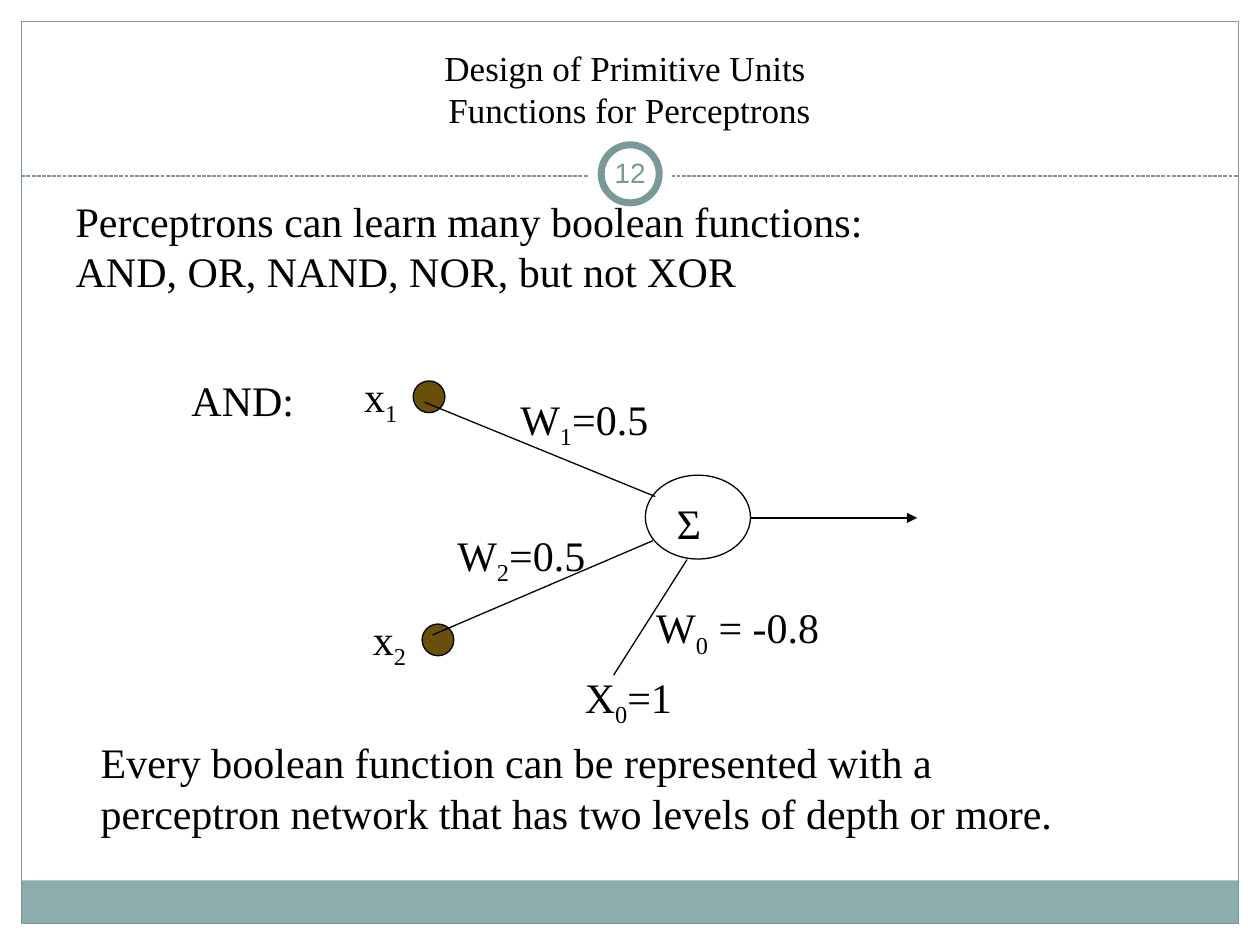
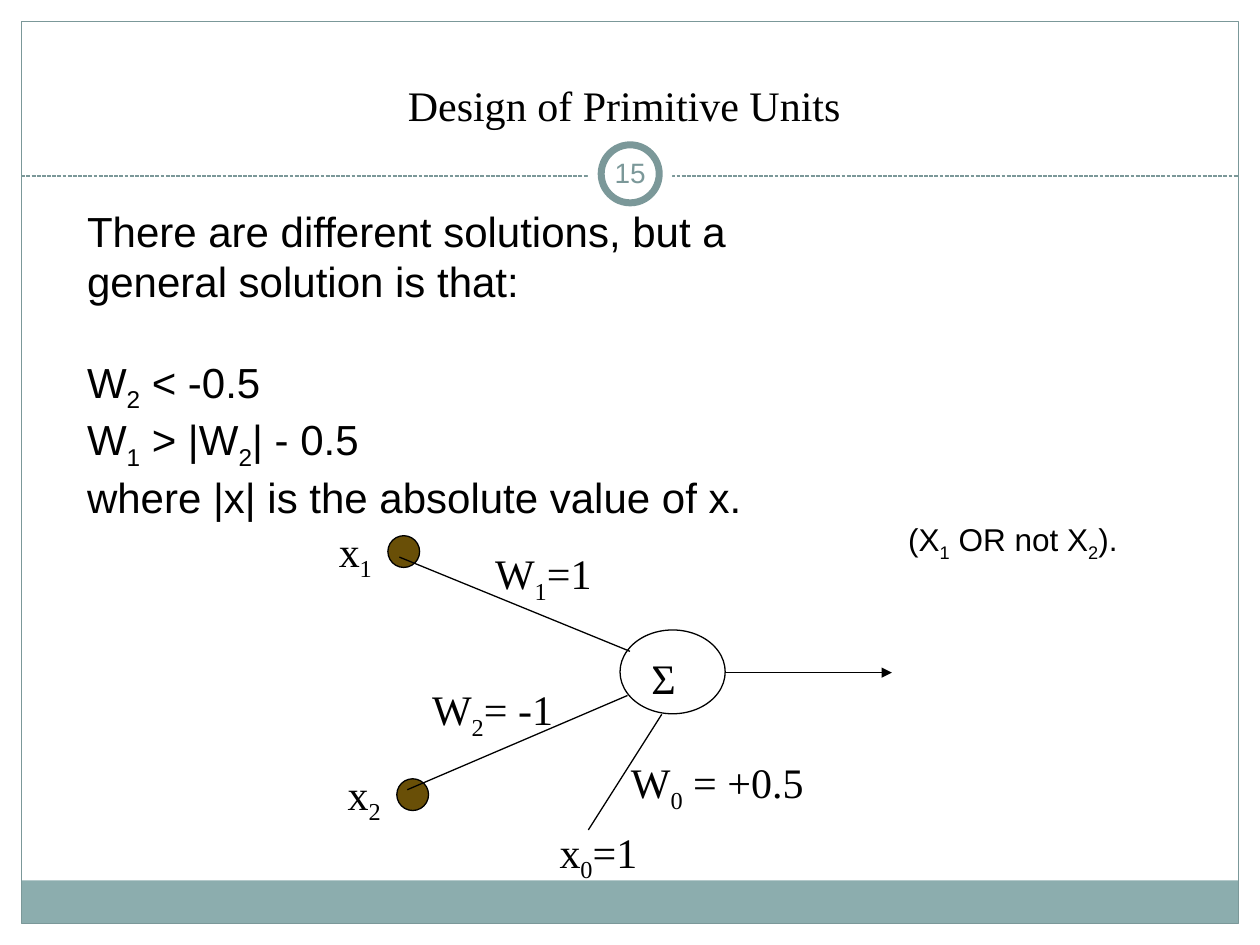
from dataclasses import dataclass

from lxml import etree
from pptx import Presentation
from pptx.dml.color import RGBColor
from pptx.enum.dml import MSO_LINE
from pptx.enum.shapes import MSO_CONNECTOR, MSO_SHAPE
from pptx.enum.text import MSO_ANCHOR, MSO_AUTO_SIZE, PP_ALIGN
from pptx.oxml.ns import qn
from pptx.util import Cm, Pt

RECTANGLE = MSO_SHAPE.RECTANGLE
OVAL = MSO_SHAPE.OVAL
STRAIGHT = MSO_CONNECTOR.STRAIGHT
SYS_DASH = MSO_LINE.SQUARE_DOT
TOP, MIDDLE, BOTTOM = MSO_ANCHOR.TOP, MSO_ANCHOR.MIDDLE, MSO_ANCHOR.BOTTOM
LEFT, CENTER = PP_ALIGN.LEFT, PP_ALIGN.CENTER
NO_AUTOFIT = MSO_AUTO_SIZE.NONE


@dataclass(frozen=True)
class Theme:
    ink: RGBColor = RGBColor(0x00, 0x00, 0x00)
    paper: RGBColor = RGBColor(0xFF, 0xFF, 0xFF)
    accent: RGBColor = RGBColor(0x7B, 0x98, 0x99)
    band: RGBColor = RGBColor(0x8C, 0xAD, 0xAE)
    input_dot: RGBColor = RGBColor(0x69, 0x4F, 0x07)
    serif: str = "Times New Roman"
    sans: str = "Arial"
    text_size: float = 24
    small_title_size: float = 20
    note_size: float = 18
    number_size: float = 16
    hairline: float = 0.75
    ring: float = 4


THEME = Theme()


def add_run(paragraph, text, font, size, color, subscript=False):
    run = paragraph.add_run()
    run.text = text
    run.font.name = font
    run.font.size = Pt(size)
    run.font.color.rgb = color
    if subscript:
        run.font._element.set("baseline", "-25000")


def write_line(paragraph, line, font, size, color=THEME.ink):
    """An underscore makes the next character a subscript."""
    first, *indexed = line.split("_")
    if first:
        add_run(paragraph, first, font, size, color)
    for part in indexed:
        add_run(paragraph, part[0], font, size, color, subscript=True)
        if part[1:]:
            add_run(paragraph, part[1:], font, size, color)


def add_paragraphs(frame, lines):
    for index, line in enumerate(lines):
        yield (frame.paragraphs[0] if index == 0 else frame.add_paragraph()), line


def place(shape, left, top, width, height):
    shape.left, shape.top = Cm(left), Cm(top)
    shape.width, shape.height = Cm(width), Cm(height)


def add_label(slide, lines, left, top, width, height, font=THEME.serif,
              size=THEME.text_size):
    box = slide.shapes.add_textbox(Cm(left), Cm(top), Cm(width), Cm(height))
    box.text_frame.word_wrap = False
    for paragraph, line in add_paragraphs(box.text_frame, lines):
        write_line(paragraph, line, font, size)


def add_outline(slide, kind, left, top, width, height, fill=None, line=None,
                weight=THEME.hairline):
    shape = slide.shapes.add_shape(kind, Cm(left), Cm(top), Cm(width), Cm(height))
    shape.shadow.inherit = False
    if fill is None:
        shape.fill.background()
    else:
        shape.fill.solid()
        shape.fill.fore_color.rgb = fill
    if line is None:
        shape.line.fill.background()
    else:
        shape.line.color.rgb = line
        shape.line.width = Pt(weight)
    return shape


def add_line(slide, start, end, color=THEME.ink, dash=None, arrow=False):
    points = [Cm(value) for value in (*start, *end)]
    line = slide.shapes.add_connector(STRAIGHT, *points)
    line.line.color.rgb = color
    line.line.width = Pt(THEME.hairline)
    if dash is not None:
        line.line.dash_style = dash
    properties = line.element.spPr
    if arrow:
        etree.SubElement(properties.find(qn("a:ln")), qn("a:tailEnd"), type="triangle")
    etree.SubElement(properties, qn("a:effectLst"))
    return line


def decorate_layout(layout, slide):
    decorations = [
        add_outline(slide, RECTANGLE, 0.43, 17.75, 24.54, 0.86, fill=THEME.band),
        add_outline(slide, RECTANGLE, 0.43, 0.43, 24.54, 18.19, line=THEME.accent),
        add_line(slide, (0.43, 3.55), (24.97, 3.55), THEME.accent, dash=SYS_DASH),
        add_outline(slide, OVAL, 11.85, 2.67, 1.7, 1.7, fill=THEME.paper),
        add_outline(slide, OVAL, 12.12, 2.92, 1.17, 1.17, fill=THEME.paper,
                    line=THEME.accent, weight=THEME.ring),
    ]
    for decoration in decorations:
        layout.shapes.element.append(decoration.element)


def set_title(slide, lines, size):
    title = slide.shapes.title
    place(title, 0.84, 0.64, 23.7, 2.11)
    frame = title.text_frame
    frame.auto_size = NO_AUTOFIT
    frame.vertical_anchor = BOTTOM
    paragraph = frame.paragraphs[0]
    paragraph.alignment = CENTER
    for index, line in enumerate(lines):
        if index:
            paragraph.add_line_break()
        write_line(paragraph, line, THEME.serif, size)


def set_body(slide, blocks, bounds, font):
    body = slide.placeholders[1]
    place(body, *bounds)
    frame = body.text_frame
    frame.auto_size = NO_AUTOFIT
    frame.vertical_anchor = TOP
    lines = [(line, block > 0 and index == 0)
             for block, block_lines in enumerate(blocks)
             for index, line in enumerate(block_lines)]
    for paragraph, (line, opens_block) in add_paragraphs(frame, lines):
        properties = paragraph._p.get_or_add_pPr()
        properties.set("marL", "0")
        properties.set("indent", "0")
        etree.SubElement(properties, qn("a:buNone"))
        paragraph.alignment = LEFT
        paragraph.space_before = Pt(THEME.text_size * 1.2 if opens_block else 0)
        write_line(paragraph, line, font, THEME.text_size)


def add_page_number(slide, number):
    box = slide.shapes.add_textbox(Cm(12.07), Cm(2.87), Cm(1.27), Cm(1.22))
    frame = box.text_frame
    frame.word_wrap = True
    frame.vertical_anchor = MIDDLE
    frame.margin_left = frame.margin_right = Cm(0.13)
    frame.paragraphs[0].alignment = CENTER
    write_line(frame.paragraphs[0], number, THEME.sans, THEME.number_size, THEME.accent)


def add_perceptron(slide, left, top, weight_1, weight_2, bias_weight, bias_input):
    def at(x, y):
        return left + x, top + y

    inputs = [
        ("x_1", (0, 0), (1.47, 0.77), (6.12, 2.67)),
        ("x_2", (0.18, 4.9), (1.63, 5.46), (6.07, 3.56)),
    ]
    add_outline(slide, OVAL, *at(5.92, 2.24), 2.12, 1.69, line=THEME.ink)
    for name, (x, y), start, end in inputs:
        add_outline(slide, OVAL, *at(x + 1.24, y + 0.34), 0.64, 0.64,
                    fill=THEME.input_dot, line=THEME.ink)
        add_label(slide, [name], *at(x, y), 1.2, 1.42)
        add_line(slide, at(*start), at(*end))
    add_line(slide, at(5.28, 6.27), at(6.76, 3.94))
    add_line(slide, at(8.03, 3.1), at(11.4, 3.1), arrow=True)
    add_label(slide, ["Σ"], *at(6.3, 2.57), 1, 1.27)

    captions = [
        (weight_1, 3.15, 0.46),
        (weight_2, 1.88, 3.2),
        (bias_weight, 5.89, 4.67),
        (bias_input, 4.45, 6.07),
    ]
    for (caption, width), x, y in captions:
        add_label(slide, [caption], *at(x, y), width, 1.42)


def build_and_slide(slide):
    set_title(slide, ["Design of Primitive Units ", "Functions for Perceptrons"],
              THEME.small_title_size)
    add_page_number(slide, "12")
    set_body(slide, [["Perceptrons can learn many boolean functions:",
                      "AND, OR, NAND, NOR, but not XOR"]],
             (1.27, 3.81, 16.5, 3.3), THEME.serif)
    add_label(slide, ["AND:"], 3.61, 7.42, 2.8, 1.27)
    add_perceptron(slide, 7.09, 7.34, ("W_1=0.5", 3.4), ("W_2=0.5", 3.4),
                   ("W_0 = -0.8", 4.1), ("X_0=1", 2.5))
    add_label(slide, ["Every boolean function can be represented with a",
                      "perceptron network that has two levels of depth or more."],
              1.78, 14.73, 20, 2.29)


def build_general_solution_slide(slide):
    set_title(slide, ["Design of Primitive Units "], THEME.text_size)
    add_page_number(slide, "15")
    set_body(slide, [["There are different solutions, but a",
                      "general solution is that:"],
                     ["W_2 < -0.5", "W_1 > |W_2| - 0.5",
                      "where |x| is the absolute value of x."]],
             (1.5, 4.01, 14.2, 7.65), THEME.sans)
    add_perceptron(slide, 6.58, 10.46, ("W_1=1", 2.8), ("W_2= -1", 3.2),
                   ("W_0 = +0.5", 4.3), ("x_0=1", 2.4))
    add_label(slide, ["(X_1 OR not X_2)."], 18.06, 10.36, 5.1, 1.12,
              THEME.sans, THEME.note_size)


def main():
    deck = Presentation()
    deck.slide_width, deck.slide_height = Cm(25.4), Cm(19.05)
    layout = deck.slide_layouts[1]
    and_slide = deck.slides.add_slide(layout)
    decorate_layout(layout, and_slide)
    build_and_slide(and_slide)
    build_general_solution_slide(deck.slides.add_slide(layout))
    deck.save("out.pptx")


if __name__ == "__main__":
    main()
